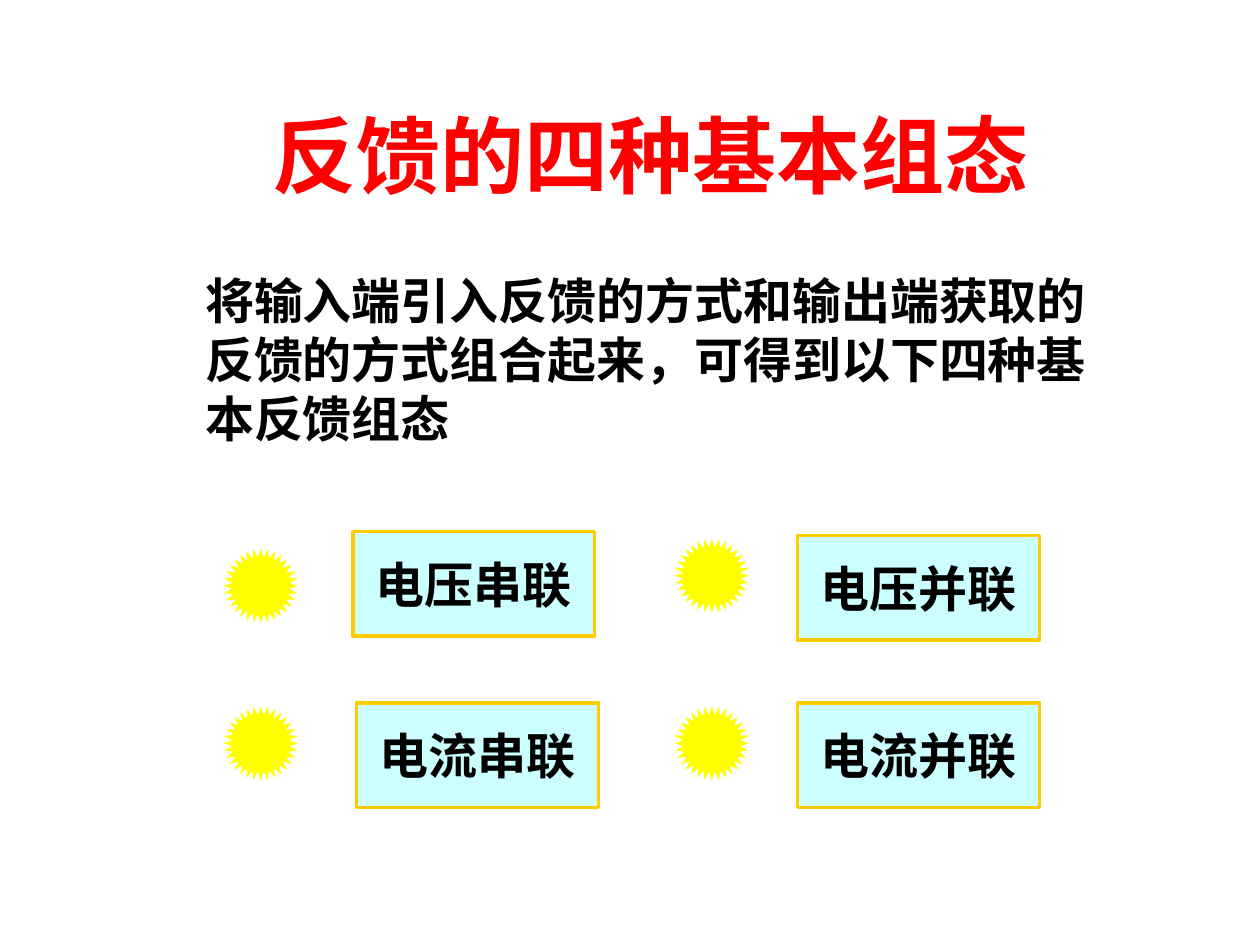
"""Build a slide on the four basic feedback configurations."""
from dataclasses import dataclass
from math import cos, pi, sin

from pptx import Presentation
from pptx.dml.color import RGBColor as Rgb
from pptx.enum.shapes import MSO_SHAPE as Kind
from pptx.enum.text import MSO_ANCHOR as Anchor, MSO_AUTO_SIZE as Fit, PP_ALIGN as Align
from pptx.util import Inches, Pt

HUES = {
    "title": "FF0000",
    "text": "000000",
    "star": "FFFF00",
    "rim": "FFFFFF",
    "box": "CCFFFF",
    "edge": "FFCC00",
}
TIPS = 32
OUTER = 0.32
INNER = 0.24


@dataclass
class Mode:
    label: str
    left: float
    top: float
    star_x: float
    star_y: float


MODES = [
    Mode("电压串联", 2.8, 4.22, 2.07, 4.65),
    Mode("电压并联", 6.33, 4.25, 5.65, 4.57),
    Mode("电流串联", 2.83, 5.58, 2.07, 5.9),
    Mode("电流并联", 6.33, 5.58, 5.65, 5.9),
]


def hue(name: str) -> Rgb:
    return Rgb.from_string(HUES[name])


def paint(shape, fill: str, line: str, width: float) -> None:
    shape.shadow.inherit = False
    shape.fill.solid()
    shape.fill.fore_color.rgb = hue(fill)
    shape.line.color.rgb = hue(line)
    shape.line.width = Pt(width)


def write(frame, text: str, size: int, face: str, color: str, align: Align) -> None:
    par = frame.paragraphs[0]
    par.alignment = align
    run = par.add_run()
    run.text = text
    font = run.font
    font.name, font.size, font.bold = face, Pt(size), True
    font.color.rgb = hue(color)


def add_star(shapes, mode: Mode) -> None:
    points = []
    for i in range(2 * TIPS):
        size = INNER if i % 2 else OUTER
        turn = pi - i * pi / TIPS
        points.append((Inches(mode.star_x + size * cos(turn)),
                       Inches(mode.star_y + size * sin(turn))))
    pen = shapes.build_freeform(*points[0])
    pen.add_line_segments(points[1:], close=True)
    paint(pen.convert_to_shape(), "star", "rim", 0.75)


def add_box(shapes, mode: Mode) -> None:
    box = shapes.add_shape(Kind.RECTANGLE, Inches(mode.left), Inches(mode.top),
                           Inches(1.92), Inches(0.83))
    paint(box, "box", "edge", 2)
    frame = box.text_frame
    frame.word_wrap = False
    frame.vertical_anchor = Anchor.MIDDLE
    write(frame, mode.label, 28, "Times New Roman", "text", Align.CENTER)


def main() -> None:
    deck = Presentation()
    deck.slide_width, deck.slide_height = Inches(10), Inches(7.5)
    slide = deck.slides.add_slide(deck.slide_layouts[5])
    shapes = slide.shapes

    title = shapes.title
    title.left, title.top = Inches(0.66), Inches(0.79)
    title.width, title.height = Inches(9), Inches(0.86)
    title.text_frame.auto_size = Fit.NONE
    title.text_frame.vertical_anchor = Anchor.MIDDLE
    write(title.text_frame, "反馈的四种基本组态", 48, "Arial", "title", Align.CENTER)

    intro = shapes.add_textbox(Inches(1.53), Inches(2.1), Inches(7.5), Inches(1.5))
    intro.text_frame.word_wrap = True
    write(intro.text_frame,
          "将输入端引入反馈的方式和输出端获取的反馈的方式组合起来，可得到以下四种基本反馈组态",
          28, "Times New Roman", "text", Align.LEFT)

    for mode in MODES:
        add_star(shapes, mode)
    for mode in MODES:
        add_box(shapes, mode)
    deck.save("out.pptx")


if __name__ == "__main__":
    main()
